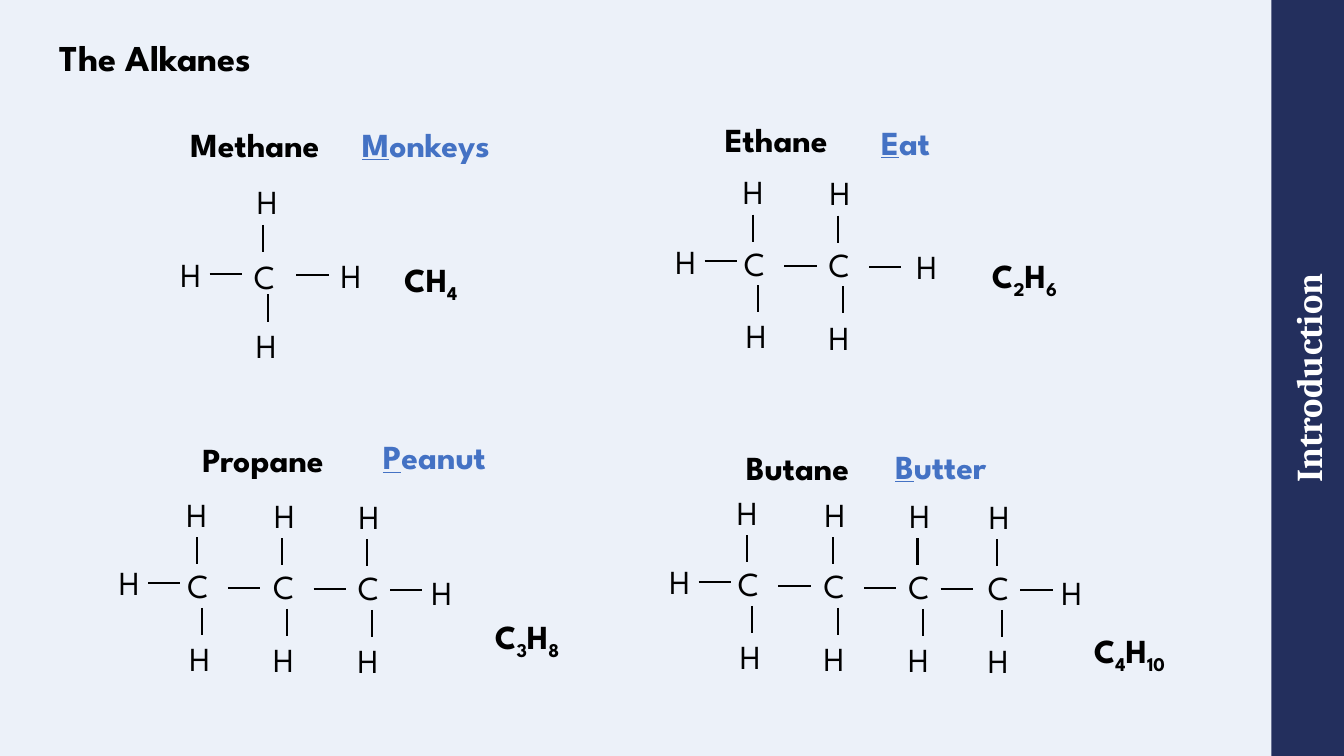
from itertools import groupby

from lxml.etree import SubElement
from pptx import Presentation
from pptx.dml.color import RGBColor
from pptx.enum.shapes import MSO_CONNECTOR, MSO_SHAPE
from pptx.enum.text import MSO_ANCHOR, MSO_AUTO_SIZE, PP_ALIGN
from pptx.oxml.ns import qn
from pptx.util import Inches, Pt

BLACK, BLUE, NAVY, WHITE, PALE = "000000", "4472C4", "232F5D", "FFFFFF", "ECF1F9"
BOND = 0.32  # length of a level bond
STEM = 0.27  # length of an upright bond


def paint(code):
    return RGBColor.from_string(code)


class Page:
    """Holds the style and the current slide."""

    face = "League Spartan"

    def __init__(self, deck):
        self.slide = deck.slides.add_slide(deck.slide_layouts[5])
        fill = self.slide.background.fill
        fill.solid()
        fill.fore_color.rgb = paint(PALE)

    def style(self, para, size, color, bold, face=None):
        font = para.font
        font.name, font.size, font.bold = face or self.face, Pt(size), bold
        font.color.rgb = paint(color)

    def frame(self, shape, anchor):
        frame = shape.text_frame
        frame.auto_size = MSO_AUTO_SIZE.NONE
        frame.vertical_anchor = anchor
        frame.margin_left = frame.margin_right = 0
        frame.margin_top = frame.margin_bottom = 0
        return frame

    def title(self, words):
        shape = self.slide.shapes.title
        shape.left, shape.top = Inches(0.59), Inches(0)
        shape.width, shape.height = Inches(11.61), Inches(0.79)
        frame = self.frame(shape, MSO_ANCHOR.BOTTOM)
        frame.text = words
        para = frame.paragraphs[0]
        para.alignment, para.line_spacing = PP_ALIGN.LEFT, 0.9
        self.style(para, 26, BLACK, True)

    def banner(self, words):
        shape = self.slide.shapes.add_shape(
            MSO_SHAPE.RECTANGLE, Inches(9.22), Inches(3.39), Inches(7.5), Inches(0.72))
        shape.rotation = 270
        shape.shadow.inherit = False
        shape.fill.solid()
        shape.fill.fore_color.rgb = paint(NAVY)
        shape.line.fill.background()
        frame = self.frame(shape, MSO_ANCHOR.MIDDLE)
        frame.text = words
        para = frame.paragraphs[0]
        para.alignment = PP_ALIGN.CENTER
        self.style(para, 26, WHITE, True, "Cambria")

    def text(self, x, y, width, parts, color=BLACK, bold=False):
        """Each part is its words and a mark: 'sub', 'line' or None."""
        box = self.slide.shapes.add_textbox(
            Inches(x), Inches(y), Inches(width), Inches(0.5))
        frame = box.text_frame
        frame.word_wrap = False
        frame.auto_size = MSO_AUTO_SIZE.SHAPE_TO_FIT_TEXT
        para = frame.paragraphs[0]
        for words, mark in parts:
            run = para.add_run()
            run.text = words
            if mark == "line":
                run.font.underline = True
            elif mark == "sub":
                run.font._element.set("baseline", "-25000")
        self.style(para, 24, color, bold)

    def atom(self, x, y, sign):
        self.text(x, y, 0.48 if sign == "C" else 0.43, [(sign, None)])

    def bond(self, x, y, wide=0, high=0):
        line = self.slide.shapes.add_connector(
            MSO_CONNECTOR.STRAIGHT, Inches(x), Inches(y),
            Inches(x + wide), Inches(y + high))
        line.line.width = Pt(1.5)
        line.line.color.rgb = paint(BLACK)
        SubElement(line._element.spPr, qn("a:effectLst"))

    def chain(self, chain, left, right, rise=0.71, drop=0.72, lean=-0.01, level=0.27):
        """Draws carbons (x, y, gap to the next bond) between two end atoms."""
        self.atom(*left, "H")
        self.bond(left[0] + 0.39, left[1] + 0.25, wide=BOND)
        for spot, (x, y, gap) in enumerate(chain):
            top, low = (0.01, 0) if spot else (lean, 0.02)
            self.atom(x, y, "C")
            self.atom(x + top, y - rise, "H")
            self.bond(x + 0.19, y - rise + 0.48, high=STEM)
            self.atom(x + low, y + drop, "H")
            self.bond(x + 0.24, y + drop - 0.25, high=STEM)
            self.bond(x + gap, y + level, wide=BOND)
        self.atom(*right, "H")

    def name(self, x, y, width, words):
        self.text(x, y, width, [(words, None)], bold=True)

    def hint(self, x, y, width, words):
        self.text(x, y, width, [(words[0], "line"), (words[1:], None)], BLUE, True)

    def sum(self, x, y, width, code):
        parts = [("".join(part), "sub" if digit else None)
                 for digit, part in groupby(code, str.isdigit)]
        self.text(x, y, width, parts, bold=True)


def main():
    deck = Presentation()
    deck.slide_width, deck.slide_height = Inches(13.33), Inches(7.5)
    page = Page(deck)
    page.banner("Introduction")
    page.title("The Alkanes")

    # Methane
    page.name(1.79, 1.18, 1.73, "Methane")
    page.hint(3.49, 1.18, 1.67, "Monkeys")
    page.chain([(2.42, 2.49, 0.52)], (1.69, 2.47), (3.28, 2.48),
               rise=0.74, drop=0.68, lean=0.03, level=0.24)
    page.sum(3.91, 2.52, 0.82, "CH4")

    # Ethane
    page.name(7.09, 1.13, 1.32, "Ethane")
    page.hint(8.64, 1.16, 0.7, "Eat")
    page.chain([(7.28, 2.36, 0.5), (8.12, 2.37, 0.5)],
               (6.6, 2.34), (8.99, 2.39), level=0.28)
    page.sum(9.74, 2.48, 0.95, "C2H6")

    # Propane
    page.name(1.91, 4.31, 1.58, "Propane")
    page.hint(3.7, 4.28, 1.33, "Peanut")
    page.chain([(1.76, 5.56, 0.5), (2.61, 5.57, 0.5), (3.45, 5.58, 0.42)],
               (1.08, 5.53), (4.18, 5.62))
    page.sum(4.81, 6.06, 0.95, "C3H8")

    # Butane
    page.name(7.3, 4.38, 1.34, "Butane")
    page.hint(8.78, 4.37, 1.12, "Butter")
    page.chain([(7.22, 5.54, 0.5), (8.07, 5.56, 0.5), (8.91, 5.57, 0.42),
                (9.7, 5.58, 0.42)], (6.54, 5.52), (10.43, 5.62))
    page.sum(10.75, 6.2, 1.07, "C4H10")

    deck.save("out.pptx")


if __name__ == "__main__":
    main()
